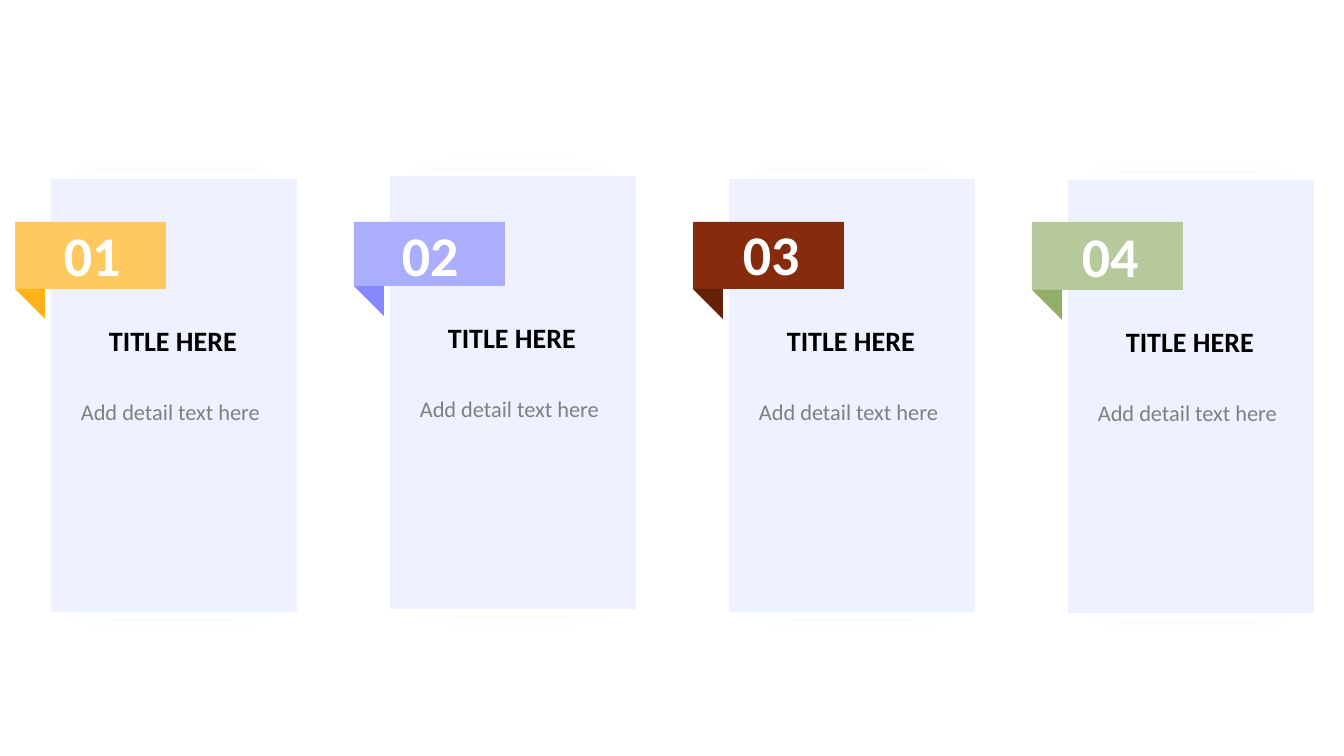
from dataclasses import dataclass
from lxml.etree import SubElement
from pptx import Presentation
from pptx.dml.color import RGBColor
from pptx.enum.shapes import MSO_SHAPE as Shape
from pptx.enum.text import MSO_AUTO_SIZE as Fit
from pptx.oxml.ns import qn
from pptx.util import Pt

CARDS = [
    dict(num="01", tag="FFC95F", fold="FFB219", drop=0, at=(54, 216)),
    dict(num="02", tag="ABADFF", fold="8588FF", drop=-3, at=(53, 216)),
    dict(num="03", tag="862B0D", fold="66200A", drop=0, at=(55, 215)),
    dict(num="04", tag="B5C99A", fold="91AF69", drop=1, at=(55, 217)),
]
TITLE = "TITLE HERE"
DETAIL = "Add detail text here"


@dataclass(frozen=True)
class Theme:
    font: str = "Calibri"
    white: str = "FFFFFF"
    black: str = "000000"
    gray: str = "808080"
    panel: str = "EEF1FF"
    num: int = 40
    title: int = 20
    detail: int = 16
    edge: float = 4.5
    shade: int = 8
    blur: int = 35


LOOK = Theme()
SCALE = 914400 / 100.8
WIDE, HIGH = 1344, 756
PITCH = 339


def px(*vals):
    return [round(v * SCALE) for v in vals]


def block(group, kind, box, fill, line=None):
    shape = group.shapes.add_shape(kind, *px(*box))
    shape.shadow.inherit = False
    shape.fill.solid()
    shape.fill.fore_color.rgb = RGBColor.from_string(fill)
    if line:
        shape.line.color.rgb = RGBColor.from_string(line)
        shape.line.width = Pt(LOOK.edge)
    else:
        shape.line.fill.background()
    return shape


def soften(shape):
    props = shape.element.spPr
    color = props.find(qn("a:solidFill"))[0]
    SubElement(color, qn("a:alpha"), val=str(LOOK.shade * 1000))
    effect = props.find(qn("a:effectLst"))
    SubElement(effect, qn("a:softEdge"), rad=str(px(LOOK.blur)[0]))


def write(group, text, box, size, color, bold=False):
    frame = group.shapes.add_textbox(*px(*box)).text_frame
    frame.word_wrap = True
    frame.auto_size = Fit.SHAPE_TO_FIT_TEXT
    run = frame.paragraphs[0].add_run()
    run.text = text
    font = run.font
    font.name, font.size, font.bold = LOOK.font, Pt(size), bold
    font.color.rgb = RGBColor.from_string(color)


def card(slide, left, num, tag, fold, drop, at):
    group = slide.shapes.add_group_shape()
    soften(block(group, Shape.RECTANGLE,
                 (left + 20, 132 + drop, 306, 526), LOOK.black))
    block(group, Shape.RECTANGLE, (left + 48, 176 + drop, 252, 439),
          LOOK.panel, LOOK.white)
    block(group, Shape.RECTANGLE, (left + 15, 222, 151, 67 + drop), tag)
    corner = block(group, Shape.RIGHT_TRIANGLE,
                   (left + 15, 289 + drop, 30, 30), fold)
    corner.rotation = 180
    write(group, num, (left + at[0], at[1], 107, 78),
          LOOK.num, LOOK.white, bold=True)
    write(group, TITLE, (left + 99, 319 + drop, 151, 44),
          LOOK.title, LOOK.black, bold=True)
    write(group, DETAIL, (left + 71, 393 + drop, 205, 37),
          LOOK.detail, LOOK.gray)


def main():
    deck = Presentation()
    deck.slide_width, deck.slide_height = px(WIDE, HIGH)
    slide = deck.slides.add_slide(deck.slide_layouts[6])
    for i, data in enumerate(CARDS):
        card(slide, i * PITCH, **data)
    deck.save("out.pptx")


if __name__ == "__main__":
    main()
